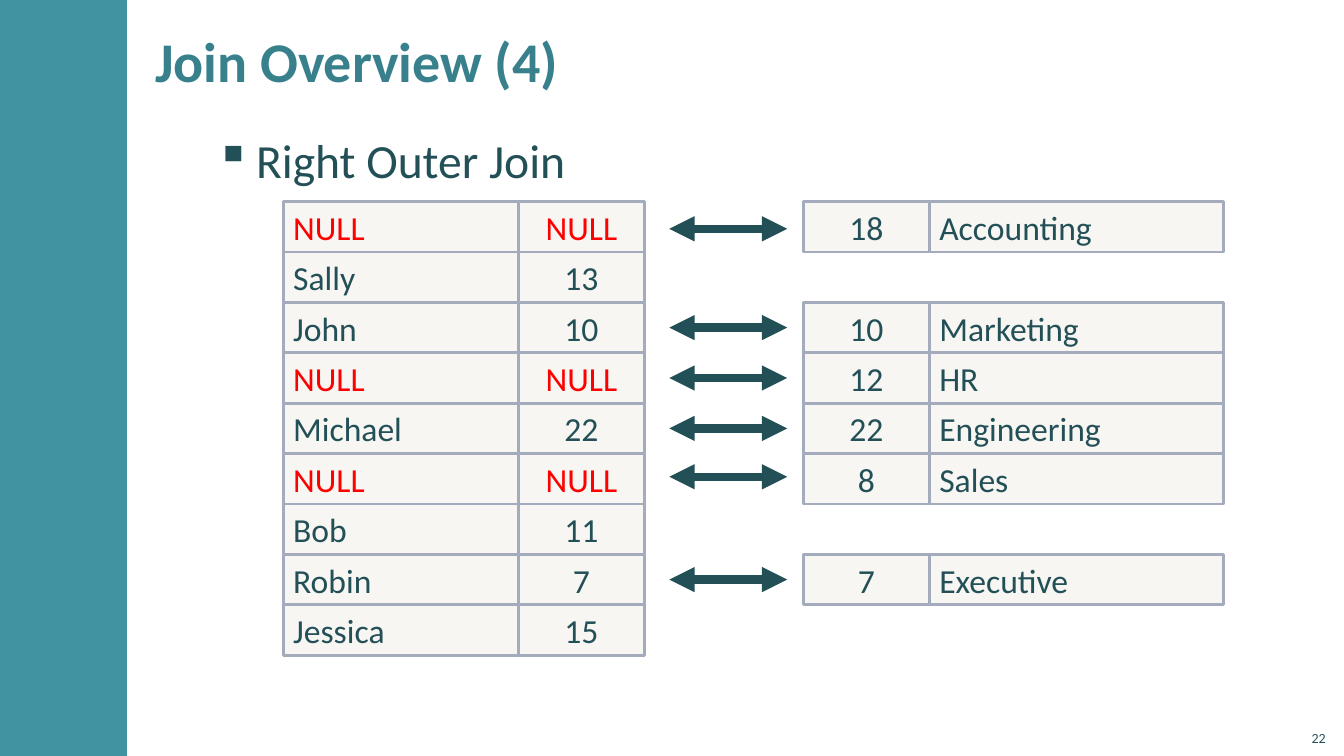
from lxml.etree import SubElement
from pptx import Presentation
from pptx.dml.color import RGBColor
from pptx.enum.shapes import MSO_CONNECTOR, MSO_SHAPE
from pptx.enum.text import MSO_ANCHOR, PP_ALIGN
from pptx.oxml.ns import qn
from pptx.util import Inches, Pt

COLORS = {
    "band": "4193A1",
    "title": "38808C",
    "text": "235057",
    "null": "FF0000",
    "cell": "D9D5C7",
    "border": "A3ABBC",
}
GRID_COLUMNS, GRID_ROWS = 40, 15
FIRST_ROW = 4
NAME_COLUMN, NAME_WIDTH = 8.43, 7
EMPLOYEE_ID_COLUMN = NAME_COLUMN + NAME_WIDTH
ID_WIDTH = 3.75
DEPARTMENT_ID_COLUMN = 23.91
DEPARTMENT_COLUMN = DEPARTMENT_ID_COLUMN + ID_WIDTH
DEPARTMENT_WIDTH = 8.76
ARROW_START, ARROW_END = 19.92, 23.43

JOINED_ROWS = [
    ("NULL", "NULL", "18", "Accounting"),
    ("Sally", "13", None, None),
    ("John", "10", "10", "Marketing"),
    ("NULL", "NULL", "12", "HR"),
    ("Michael", "22", "22", "Engineering"),
    ("NULL", "NULL", "8", "Sales"),
    ("Bob", "11", None, None),
    ("Robin", "7", "7", "Executive"),
    ("Jessica", "15", None, None),
]
ARROW_ROWS = [4.54, 6.5, 7.5, 8.5, 9.46, 11.5]


class JoinSlide:
    font = "Calibri"

    def __init__(self, presentation):
        self.column = presentation.slide_width / GRID_COLUMNS
        self.row = presentation.slide_height / GRID_ROWS
        self.shapes = presentation.slides.add_slide(presentation.slide_layouts[6]).shapes

    def place(self, column, row, columns, rows):
        return [int(length) for length in (column * self.column, row * self.row,
                                           columns * self.column, rows * self.row)]

    def add_wording(self, frame, text, size, color, align=PP_ALIGN.LEFT,
                    anchor=MSO_ANCHOR.MIDDLE, bold=False):
        frame.word_wrap = True
        frame.vertical_anchor = anchor
        paragraph = frame.paragraphs[0]
        paragraph.alignment = align
        run = paragraph.add_run()
        run.text = text
        run.font.name = self.font
        run.font.size = Pt(size)
        run.font.bold = bold
        run.font.color.rgb = RGBColor.from_string(COLORS[color])
        return paragraph

    def text(self, area, text, size, color, inset=0.12, **style):
        frame = self.shapes.add_textbox(*self.place(*area)).text_frame
        frame.margin_left = frame.margin_right = Inches(inset)
        frame.margin_top = frame.margin_bottom = Inches(0.04)
        return self.add_wording(frame, text, size, color, **style)

    def bullet(self, area, text, size, color):
        paragraph = self.text(area, text, size, color, anchor=MSO_ANCHOR.TOP)
        paragraph.line_spacing = 1.05
        paragraph.space_before = paragraph.space_after = Pt(6)
        properties = paragraph._p.get_or_add_pPr()
        properties.set("marL", str(Inches(0.4)))
        properties.set("indent", str(-Inches(0.4)))
        SubElement(properties, qn("a:buChar"), char="▪")

    def rectangle(self, area, color):
        box = self.shapes.add_shape(MSO_SHAPE.RECTANGLE, *self.place(*area))
        box.shadow.inherit = False
        box.fill.solid()
        box.fill.fore_color.rgb = RGBColor.from_string(COLORS[color])
        box.line.fill.background()
        return box

    def cell(self, column, row, columns, text, align=PP_ALIGN.LEFT):
        box = self.rectangle((column, row, columns, 1), "cell")
        fill_color = box._element.spPr.find(qn("a:solidFill"))[0]
        SubElement(fill_color, qn("a:alpha"), val="20000")
        box.line.color.rgb = RGBColor.from_string(COLORS["border"])
        box.line.width = Pt(2)
        self.add_wording(box.text_frame, text, 24, "null" if text == "NULL" else "text", align)

    def arrow(self, start, end, row):
        left, top, right, bottom = self.place(start, row, end, row)
        link = self.shapes.add_connector(MSO_CONNECTOR.STRAIGHT, left, top, right, bottom)
        link.line.color.rgb = RGBColor.from_string(COLORS["text"])
        link.line.width = Pt(6)
        for tip in ("a:headEnd", "a:tailEnd"):
            SubElement(link._element.spPr.find(qn("a:ln")), qn(tip), type="triangle")
        SubElement(link._element.spPr, qn("a:effectLst"))


def main():
    presentation = Presentation()
    presentation.slide_width = Inches(13.33)
    presentation.slide_height = Inches(7.5)
    slide = JoinSlide(presentation)

    slide.rectangle((0, 0, 3.78, GRID_ROWS), "band")
    slide.text((4.26, 0.22, 28, 1.94), "Join Overview (4)", 40, "title", bold=True)
    slide.bullet((6.06, 2.46, 33.3, 11.54), "Right Outer Join", 34, "text")

    for row, (name, employee_id, department_id, department) in enumerate(JOINED_ROWS, FIRST_ROW):
        slide.cell(NAME_COLUMN, row, NAME_WIDTH, name)
        slide.cell(EMPLOYEE_ID_COLUMN, row, ID_WIDTH, employee_id, PP_ALIGN.CENTER)
        if department:
            slide.cell(DEPARTMENT_ID_COLUMN, row, ID_WIDTH, department_id, PP_ALIGN.CENTER)
            slide.cell(DEPARTMENT_COLUMN, row, DEPARTMENT_WIDTH, department)

    for row in ARROW_ROWS:
        slide.arrow(ARROW_START, ARROW_END, row)

    slide.text((38.55, 14.24, 1.2, 0.64), "22", 10, "text", inset=0.1,
               align=PP_ALIGN.RIGHT, anchor=MSO_ANCHOR.BOTTOM)
    presentation.save("out.pptx")


if __name__ == "__main__":
    main()
